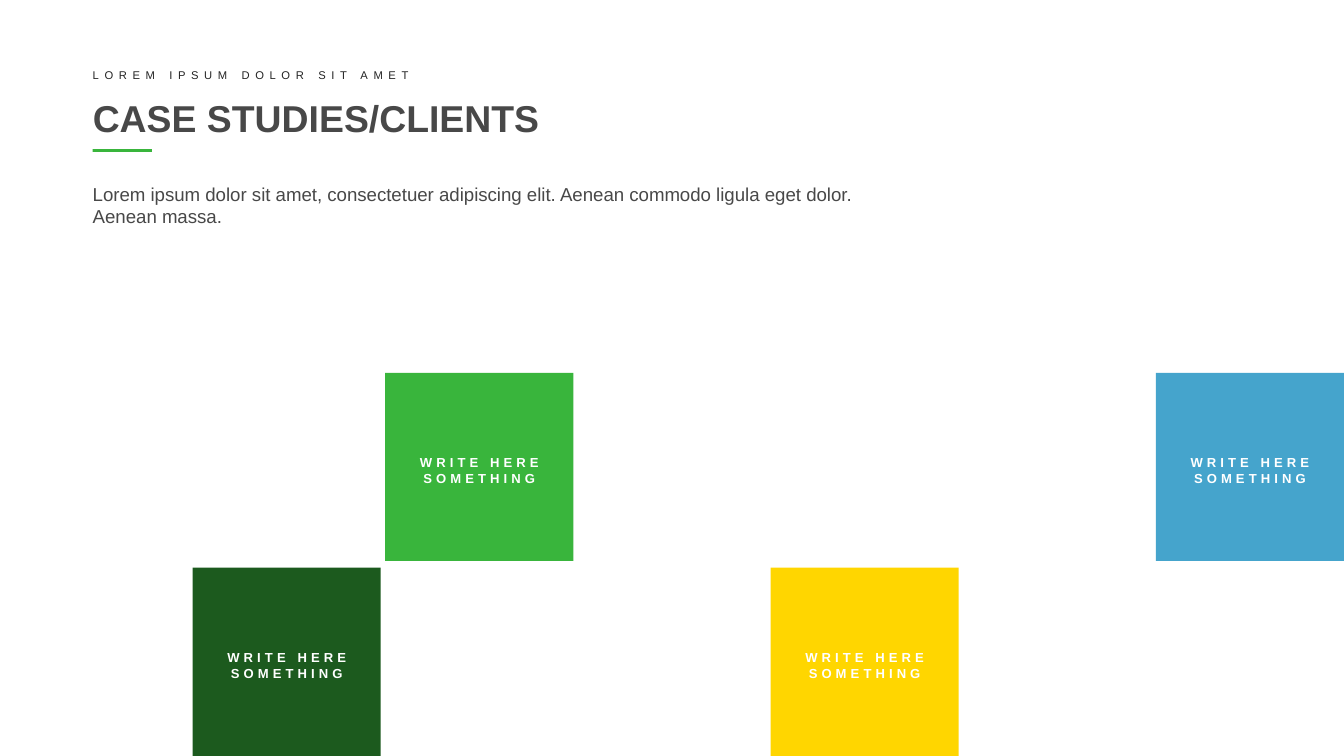
from pptx import Presentation
from pptx.dml.color import RGBColor
from pptx.enum.shapes import MSO_SHAPE
from pptx.enum.text import MSO_ANCHOR, MSO_AUTO_SIZE, PP_ALIGN
from pptx.util import Inches, Pt

SLIDE_WIDTH = 10
SLIDE_HEIGHT = SLIDE_WIDTH * 9 / 16
MARGIN = 0.69
GREEN = "39B53C"

# Content: box (left, top, width, height), lines, format
HEADINGS = [
    ((MARGIN, 0.51, 7.17, 0.1), ["LOREM IPSUM DOLOR SIT AMET"],
     {"size": 6, "color": "242424", "spacing": 3, "anchor": MSO_ANCHOR.MIDDLE}),
    ((MARGIN, 0.69, 8.62, 0.37), ["CASE STUDIES/CLIENTS"],
     {"size": 20, "color": "484848", "bold": True, "anchor": MSO_ANCHOR.MIDDLE}),
    ((MARGIN, 1.36, 5.67, 0.34),
     ["Lorem ipsum dolor sit amet, consectetuer adipiscing elit. "
      "Aenean commodo ligula eget dolor. Aenean massa."],
     {"size": 10, "color": "484848"}),
]

# Tiles: column, row, fill, label lines
LABEL = ["WRITE HERE", "SOMETHING"]
TILES = [
    (1, 1, "1C5A1E", LABEL),
    (2, 0, GREEN, LABEL),
    (4, 1, "FFD600", LABEL),
    (6, 0, "45A4CC", LABEL),
]
LABEL_FORMAT = {"size": 7, "color": "FFFFFF", "bold": True, "spacing": 2.2,
                "align": PP_ALIGN.CENTER, "wrap": False, "insets": (0.1, 0.05)}

# Tile grid: last column meets the right edge, last row the bottom edge
TILE = 1.4
COLUMN_PITCH = (SLIDE_WIDTH - TILE) / 6
ROW_PITCH = 1.45
FIRST_ROW_TOP = SLIDE_HEIGHT - TILE - ROW_PITCH
LABEL_WIDTH, LABEL_HEIGHT, LABEL_DROP = 1.13, 0.34, 0.56


def rgb(value):
    return RGBColor.from_string(value)


def add_rectangle(slide, box, color):
    shape = slide.shapes.add_shape(MSO_SHAPE.RECTANGLE, *map(Inches, box))
    shape.shadow.inherit = False
    shape.fill.solid()
    shape.fill.fore_color.rgb = rgb(color)
    shape.line.fill.background()


def add_text(slide, box, lines, style):
    frame = slide.shapes.add_textbox(*map(Inches, box)).text_frame
    inset_x, inset_y = map(Inches, style.get("insets", (0, 0)))
    frame_format = {
        "margin_left": inset_x, "margin_right": inset_x,
        "margin_top": inset_y, "margin_bottom": inset_y,
        "word_wrap": style.get("wrap", True),
        "auto_size": MSO_AUTO_SIZE.NONE,
        "vertical_anchor": style.get("anchor", MSO_ANCHOR.TOP),
    }
    for name, value in frame_format.items():
        setattr(frame, name, value)

    font_format = {"name": "Arial", "size": Pt(style["size"]),
                   "bold": style.get("bold", False)}
    for index, line in enumerate(lines):
        paragraph = frame.add_paragraph() if index else frame.paragraphs[0]
        paragraph.alignment = style.get("align", PP_ALIGN.LEFT)
        run = paragraph.add_run()
        run.text = line
        for name, value in font_format.items():
            setattr(run.font, name, value)
        run.font.color.rgb = rgb(style["color"])
        if "spacing" in style:
            run._r.get_or_add_rPr().set("spc", str(round(style["spacing"] * 100)))


def main():
    presentation = Presentation()
    presentation.slide_width = Inches(SLIDE_WIDTH)
    presentation.slide_height = Inches(SLIDE_HEIGHT)
    slide = presentation.slides.add_slide(presentation.slide_layouts[6])

    # Heading block with its accent bar
    add_rectangle(slide, (MARGIN, 1.11, 0.44, 0.02), GREEN)
    for box, lines, style in HEADINGS:
        add_text(slide, box, lines, style)

    # Coloured tiles with centred labels
    for column, row, color, lines in TILES:
        left = column * COLUMN_PITCH
        top = FIRST_ROW_TOP + row * ROW_PITCH
        add_rectangle(slide, (left, top, TILE, TILE), color)
        label_left = left + (TILE - LABEL_WIDTH) / 2
        label_box = (label_left, top + LABEL_DROP, LABEL_WIDTH, LABEL_HEIGHT)
        add_text(slide, label_box, lines, LABEL_FORMAT)

    presentation.save("out.pptx")


if __name__ == "__main__":
    main()
